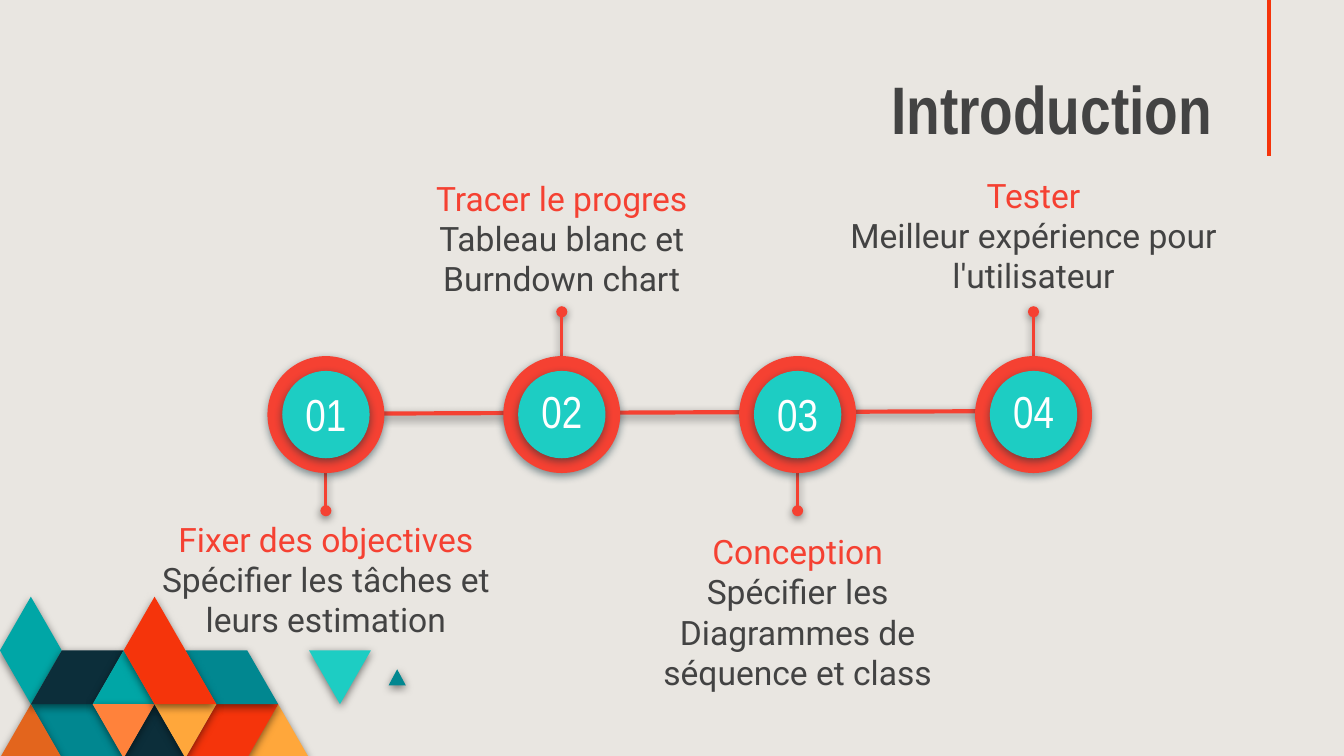
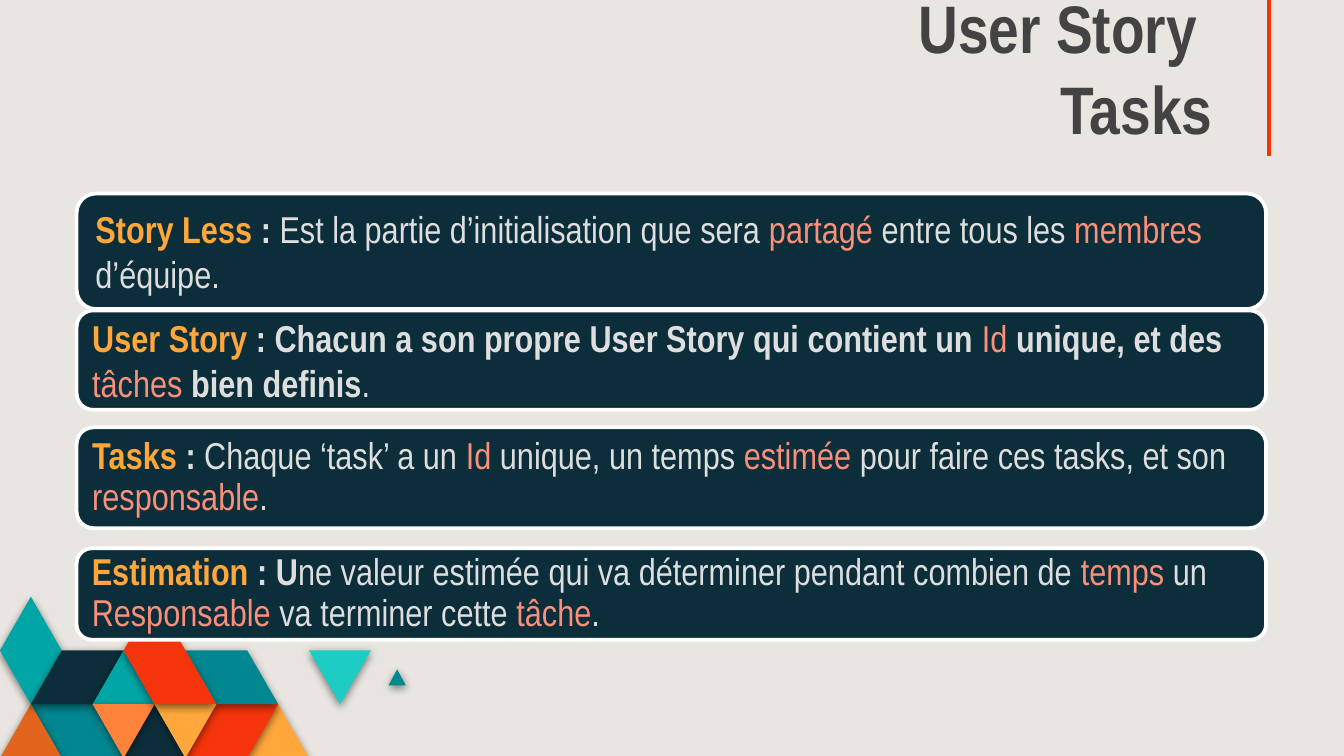
from dataclasses import dataclass

from lxml.etree import SubElement as Sub
from pptx import Presentation
from pptx.dml.color import RGBColor as Rgb
from pptx.enum.shapes import MSO_CONNECTOR as Line, MSO_SHAPE as Shape
from pptx.enum.text import MSO_ANCHOR as Anchor, PP_ALIGN as Align
from pptx.oxml.ns import qn
from pptx.util import Emu, Inches, Pt


@dataclass(frozen=True)
class Theme:
    """Colours, fonts and type sizes of the deck."""
    paper: str = "E9E6E1"
    ink: str = "434343"
    navy: str = "0C2E3A"
    red: str = "F5340B"
    coral: str = "F54132"
    aqua: str = "1DCDC3"
    teal: str = "00A6A6"
    petrol: str = "018790"
    rust: str = "E3651D"
    orange: str = "FF823B"
    amber: str = "FFA73B"
    salmon: str = "FA8F7A"
    mist: str = "DEDEDE"
    white: str = "FFFFFF"
    black: str = "000000"
    head: str = "Arial Narrow"
    body: str = "Roboto"
    title_size: int = 36
    number_size: int = 24
    card_size: int = 20
    body_size: int = 18

    def styles(self):
        """Return the named run styles as (colour, font values)."""
        def style(color, name, size, bold=False):
            return color, {"name": name, "size": Pt(size), "bold": bold}

        return {
            "title": style(self.ink, self.head, self.title_size, True),
            "number": style(self.white, self.head, self.number_size),
            "step": style(self.coral, self.body, self.body_size),
            "detail": style(self.ink, self.body, self.body_size),
            "term": style(self.amber, self.head, self.card_size, True),
            "strong": style(self.mist, self.head, self.card_size, True),
            "plain": style(self.mist, self.head, self.card_size),
            "mark": style(self.salmon, self.head, self.card_size),
        }


T = Theme()
WIDTH, HEIGHT = Inches(10), Inches(5.625)
COLS, ROWS = 100, 56.25
TILE_COL, TILE_ROW, TILE_TOP = 2.3, 4, 44.4

TILES = [
    (T.amber, [(10, 3), (9, 2), (8, 3)]),
    (T.red, [(9, 2), (7, 2), (6, 3), (8, 3)]),
    (T.petrol, [(4, 3), (3, 2), (1, 2), (2, 3)]),
    (T.rust, [(2, 3), (1, 2), (0, 3)]),
    (T.navy, [(6, 3), (5, 2), (4, 3)]),
    (T.petrol, [(9, 2), (8, 1), (6, 1), (7, 2)]),
    (T.petrol, [(13.13, 1.65), (12.85, 1.35), (12.57, 1.65)]),
    (T.aqua, [(12, 1), (10, 1), (11, 2)]),
    (T.teal, [(2, 1), (1, 0), (0, 1), (1, 2)]),
    (T.navy, [(4, 1), (2, 1), (1, 2), (3, 2)]),
    (T.teal, [(5, 2), (4, 1), (3, 2)]),
    (T.orange, [(5, 2), (3, 2), (4, 3)]),
    (T.amber, [(7, 2), (5, 2), (6, 3)]),
    (T.red, [(7, 2), (5, 0), (4, 1), (5, 2)]),
]

STEPS = [
    ("Fixer des objectives", "Spécifier les tâches et leurs estimation", 37.6),
    ("Tracer le progres", "Tableau blanc et Burndown chart", 12.2),
    ("Conception", "Spécifier les Diagrammes de séquence et class", 38.5),
    ("Tester", "Meilleur expérience pour l'utilisateur", 12),
]

CARDS = [
    (23.1, 7.4, 0.08, 1.0, [
        ("term", "User Story "),
        ("strong", ": Chacun a son propre User Story qui contient un "),
        ("mark", "Id "), ("strong", "unique, et des "), ("mark", "tâches"),
        ("strong", " bien definis"), ("plain", ".")]),
    (31.8, 7.5, 0.08, 0.9, [
        ("term", "Tasks "), ("strong", ": "), ("plain", "Chaque ‘task’ a un "),
        ("mark", "Id"), ("plain", " unique, un temps "), ("mark", "estimée"),
        ("plain", " pour faire ces tasks, et son "),
        ("mark", "responsable"), ("plain", ".")]),
    (40.8, 6.8, 0.08, 0.9, [
        ("term", "Estimation "), ("strong", ": U"),
        ("plain", "ne valeur estimée qui va déterminer pendant combien de "),
        ("mark", "temps"), ("plain", " un "), ("mark", "Responsable"),
        ("plain", " va terminer cette "), ("mark", "tâche"), ("plain", ".")]),
    (14.4, 8.6, 0.1, 1.0, [
        ("term", "Story Less "), ("strong", ": "),
        ("plain", "Est la partie d’initialisation que sera "),
        ("mark", "partagé"), ("plain", " entre tous les "),
        ("mark", "membres "), ("plain", "d’équipe.")]),
]


def x(cols):
    """Convert grid columns to a length."""
    return Emu(round(WIDTH * cols / COLS))


def y(rows):
    """Convert grid rows to a length."""
    return Emu(round(HEIGHT * rows / ROWS))


class Deck:
    """Holds the style and the current slide and draws each element."""

    def __init__(self):
        """Open a blank deck with the shared background."""
        self.prs = Presentation()
        self.prs.slide_width, self.prs.slide_height = WIDTH, HEIGHT
        self.styles = T.styles()
        fill = self.prs.slide_master.background.fill
        fill.solid()
        fill.fore_color.rgb = Rgb.from_string(T.paper)
        self.s = None

    def slide(self, *title):
        """Start a slide with its mosaic, rule and title."""
        self.s = self.prs.slides.add_slide(self.prs.slide_layouts[6])
        for color, points in TILES:
            self.tile(color, points)
        self.line((94.4, 0), (94.4, 11.6), T.red, 2.25)
        self.text((2.7, 5.7, 88.5, 6.3), [("title", t) for t in title],
                  align=Align.RIGHT, anchor=Anchor.BOTTOM, stacked=True)

    def shadow(self, sp, color=None):
        """Replace the inherited shadow with a soft one, or with none."""
        spPr = sp._element.spPr
        effects = spPr.find(qn("a:effectLst"))
        if effects is None:
            effects = Sub(spPr, qn("a:effectLst"))
        if color:
            outer = Sub(effects, qn("a:outerShdw"), blurRad=str(Pt(4.5)),
                        dist=str(Pt(1.5)), dir="5400000", algn="bl",
                        rotWithShape="0")
            clr = Sub(outer, qn("a:srgbClr"), val=color)
            Sub(clr, qn("a:alpha"), val="50000")

    def paint(self, sp, fill, line=None, shadow=None):
        """Set fill, outline and shadow of a shape."""
        sp.fill.solid()
        sp.fill.fore_color.rgb = Rgb.from_string(fill)
        if line:
            sp.line.color.rgb = Rgb.from_string(line)
            sp.line.width = Pt(2)
        else:
            sp.line.fill.background()
        sp.shadow.inherit = False
        self.shadow(sp, shadow)
        return sp

    def tile(self, color, points):
        """Draw one mosaic piece from its lattice points."""
        pts = [(x(c * TILE_COL), y(TILE_TOP + r * TILE_ROW))
               for c, r in points]
        builder = self.s.shapes.build_freeform(*pts[0], scale=1.0)
        builder.add_line_segments(pts[1:], close=True)
        self.paint(builder.convert_to_shape(), color, shadow=T.black)

    def line(self, start, end, color, weight, shadow=None, dot=False):
        """Draw a straight line, with a dot at its end if asked."""
        sp = self.s.shapes.add_connector(
            Line.STRAIGHT, x(start[0]), y(start[1]), x(end[0]), y(end[1]))
        sp.line.color.rgb = Rgb.from_string(color)
        sp.line.width = Pt(weight)
        if dot:
            Sub(sp._element.spPr.find(qn("a:ln")), qn("a:tailEnd"),
                type="oval")
        self.shadow(sp, shadow)

    def circle(self, col, row, size, color):
        """Draw a shadowed circle around a centre."""
        sp = self.s.shapes.add_shape(
            Shape.OVAL, x(col - size / 2), y(row - size / 2), x(size), y(size))
        return self.paint(sp, color, shadow=T.navy)

    def label(self, sp, runs, align=Align.LEFT, anchor=Anchor.TOP, inset=0.1,
              lift=0, spacing=1.0, stacked=False):
        """Fill a shape with styled runs, stacked on lines if asked."""
        tf = sp.text_frame
        frame = {"word_wrap": True, "vertical_anchor": anchor,
                 "margin_left": Inches(inset), "margin_right": Inches(inset),
                 "margin_top": Inches(inset),
                 "margin_bottom": Inches(inset + lift)}
        for key, value in frame.items():
            setattr(tf, key, value)
        p = tf.paragraphs[0]
        p.alignment, p.line_spacing = align, spacing
        for i, (style, text) in enumerate(runs):
            if stacked and i:
                p.add_line_break()
            r = p.add_run()
            r.text = text
            color, values = self.styles[style]
            for key, value in values.items():
                setattr(r.font, key, value)
            r.font.color.rgb = Rgb.from_string(color)

    def text(self, box, runs, **layout):
        """Add a text box given in columns and rows."""
        left, top, width, height = box
        sp = self.s.shapes.add_textbox(x(left), y(top), x(width), y(height))
        self.label(sp, runs, **layout)

    def card(self, top, height, inset, spacing, runs):
        """Add a rounded definition card."""
        sp = self.s.shapes.add_shape(
            Shape.ROUNDED_RECTANGLE, x(5.7), y(top), x(88.5), y(height))
        self.paint(sp, T.navy, line=T.white)
        self.label(sp, runs, anchor=Anchor.MIDDLE, inset=inset,
                   spacing=spacing)

    def step(self, index, name, detail, caption_top):
        """Add a numbered timeline step with its stem and caption."""
        col, row, ring = 24.25 + 17.55 * index, 30.85, 8.7
        above = index % 2 == 1
        edge = row + (-ring if above else ring) / 2
        self.line((col, edge), (col, 23.2 if above else 38), T.coral, 1.5,
                  T.black, dot=True)
        self.circle(col, row, ring, T.coral)
        disc = self.circle(col, row, 6.5, T.aqua)
        self.label(disc, [("number", f"{index + 1:02}")], align=Align.CENTER,
                   anchor=Anchor.MIDDLE, inset=0, lift=0.06 if above else 0.02)
        self.text((col - 14.95, caption_top, 29.9, 7.5),
                  [("step", name), ("detail", detail)],
                  align=Align.CENTER, stacked=True)


def main():
    """Build and save the deck."""
    deck = Deck()
    deck.slide("Introduction")
    deck.line((21, 30.8), (73, 30.6), T.coral, 2.25, T.black)
    for index, step in enumerate(STEPS):
        deck.step(index, *step)
    deck.slide("User Story ", "Tasks")
    for card in CARDS:
        deck.card(*card)
    deck.prs.save("out.pptx")


if __name__ == "__main__":
    main()
